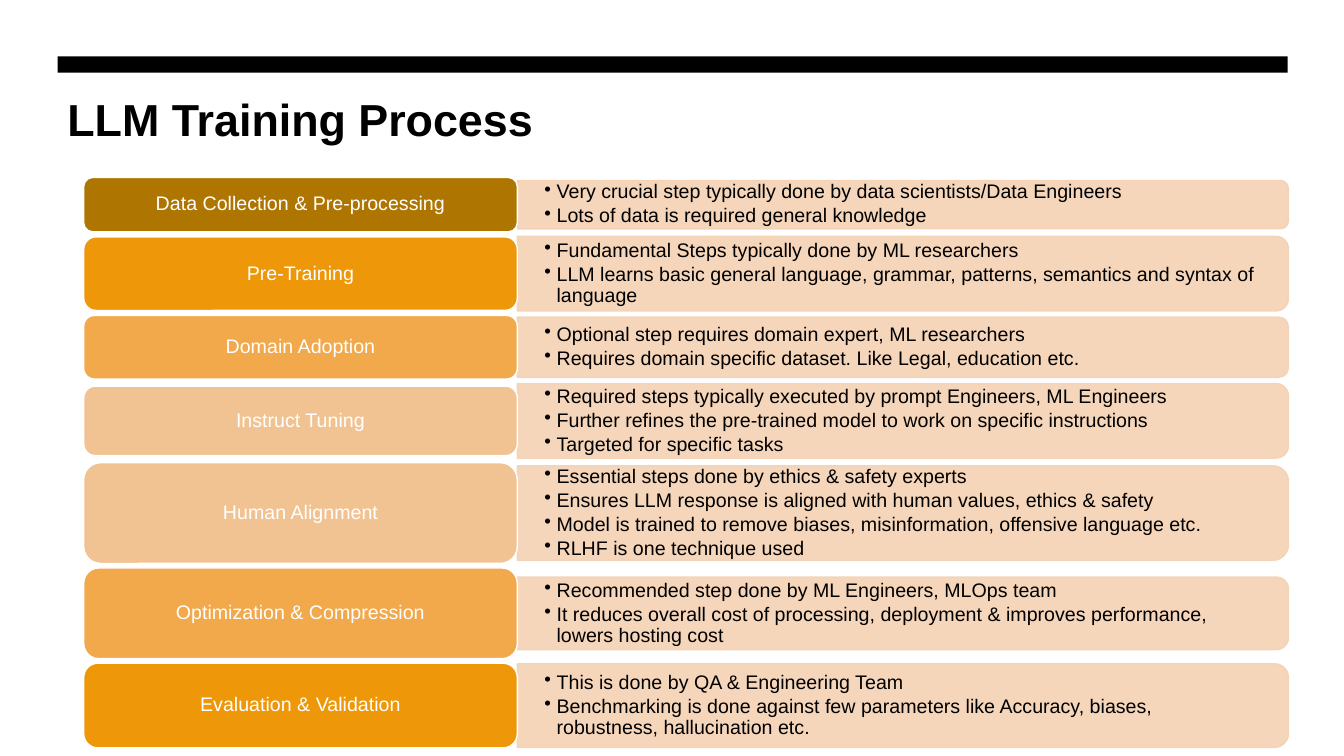
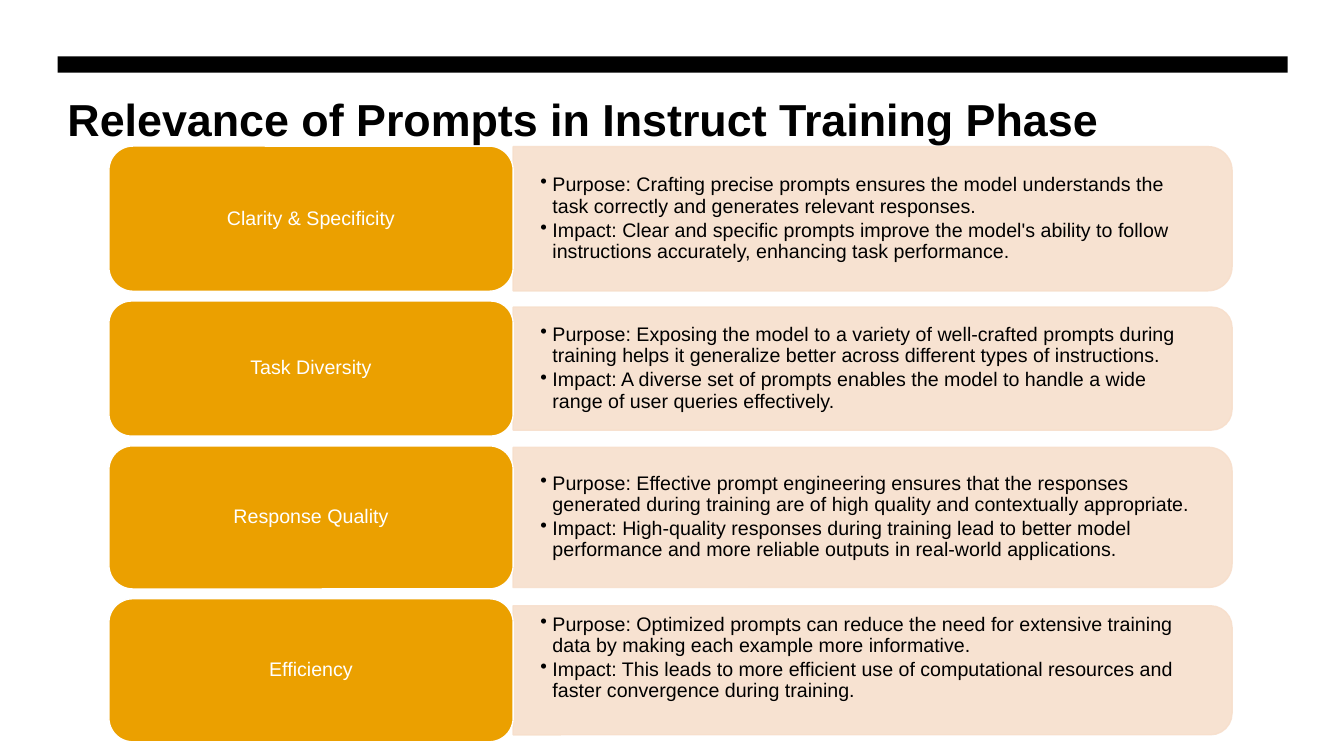
from lxml.etree import SubElement
from pptx import Presentation
from pptx.dml.color import RGBColor
from pptx.enum.shapes import MSO_SHAPE as SHAPE
from pptx.enum.text import MSO_ANCHOR as ANCHOR, PP_ALIGN as ALIGN
from pptx.oxml.ns import qn
from pptx.util import Inches, Pt

BLACK = RGBColor(0x00, 0x00, 0x00)
WHITE = RGBColor(0xFF, 0xFF, 0xFF)
BROWN = RGBColor(0xAE, 0x76, 0x00)
ORANGE = RGBColor(0xED, 0x97, 0x09)
APRICOT = RGBColor(0xF1, 0xA9, 0x4C)
SAND = RGBColor(0xF2, 0xC3, 0x92)
AMBER = RGBColor(0xEB, 0xA0, 0x00)
PEACH = RGBColor(0xF4, 0xD2, 0xB4)
CREAM = RGBColor(0xF7, 0xDF, 0xCC)

prs = Presentation()
prs.slide_width, prs.slide_height = Inches(13.33), Inches(7.5)
COL, ROW = prs.slide_width / 100, prs.slide_height / 100

LABEL_FRAME = dict(
    word_wrap=True, vertical_anchor=ANCHOR.MIDDLE,
    margin_left=Inches(0.09), margin_right=Inches(0.09),
    margin_top=Inches(0.06), margin_bottom=Inches(0.06),
)
PANEL_FRAME = dict(
    word_wrap=True, vertical_anchor=ANCHOR.MIDDLE,
    margin_left=Inches(0.27), margin_right=Inches(0.27),
    margin_top=Inches(0.14), margin_bottom=Inches(0.14),
)
LABEL_PARA = dict(alignment=ALIGN.CENTER, line_spacing=0.9, space_after=Pt(5))
BULLET_PARA = dict(alignment=ALIGN.LEFT, line_spacing=0.9, space_after=Pt(2))

slides = [
    dict(
        title="LLM Training Process",
        left=6.23, split=38.49, right=95.87, top=23.47, bottom=98.93, panel=PEACH,
        rows=[
            ("Data Collection & Pre-processing", BROWN, 7.2, 6.4, 0, [
                "Very crucial step typically done by data scientists/Data Engineers",
                "Lots of data is required general knowledge"]),
            ("Pre-Training", ORANGE, 9.73, 9.87, 0, [
                "Fundamental Steps typically done by ML researchers",
                "LLM learns basic general language, grammar, patterns, semantics and syntax of language"]),
            ("Domain Adoption", APRICOT, 8.4, 8, 0, [
                "Optional step requires domain expert, ML researchers",
                "Requires domain specific dataset. Like Legal, education etc."]),
            ("Instruct Tuning", SAND, 9.2, 9.87, 0, [
                "Required steps typically executed by prompt Engineers, ML Engineers",
                "Further refines the pre-trained model to work on specific instructions",
                "Targeted for specific tasks"]),
            ("Human Alignment", SAND, 13.33, 12.53, 0, [
                "Essential steps done by ethics & safety experts",
                "Ensures LLM response is aligned with human values, ethics & safety",
                "Model is trained to remove biases, misinformation, offensive language etc.",
                "RLHF is one technique used"]),
            ("Optimization & Compression", APRICOT, 12, 9.6, 0, [
                "Recommended step done by ML Engineers, MLOps team",
                "It reduces overall cost of processing, deployment & improves performance, lowers hosting cost"]),
            ("Evaluation & Validation", ORANGE, 11.2, 11.07, 0, [
                "This is done by QA & Engineering Team",
                "Benchmarking is done against few parameters like Accuracy, biases, robustness, hallucination etc."]),
        ],
    ),
    dict(
        title="Relevance of Prompts in Instruct Training Phase",
        left=8.1, split=38.18, right=91.67, top=19.33, bottom=98.13, panel=CREAM,
        rows=[
            ("Clarity & Specificity", AMBER, 19.2, 19.07, 0, [
                "Purpose: Crafting precise prompts ensures the model understands the task correctly and generates relevant responses.",
                "Impact: Clear and specific prompts improve the model's ability to follow instructions accurately, enhancing task performance."]),
            ("Task Diversity", AMBER, 17.87, 16.27, 0, [
                "Purpose: Exposing the model to a variety of well-crafted prompts during training helps it generalize better across different types of instructions.",
                "Impact: A diverse set of prompts enables the model to handle a wide range of user queries effectively."]),
            ("Response Quality", AMBER, 18.93, 18.53, 0, [
                "Purpose: Effective prompt engineering ensures that the responses generated during training are of high quality and contextually appropriate.",
                "Impact: High-quality responses during training lead to better model performance and more reliable outputs in real-world applications."]),
            ("Efficiency", AMBER, 18.93, 17.07, 3.2, [
                "Purpose: Optimized prompts can reduce the need for extensive training data by making each example more informative.",
                "Impact: This leads to more efficient use of computational resources and faster convergence during training."]),
        ],
    ),
]


def add_box(s, kind, x, y, w, h, fill, line):
    sp = s.shapes.add_shape(kind, int(x), int(y), int(w), int(h))
    sp.shadow.inherit = False
    sp.fill.solid()
    sp.fill.fore_color.rgb = fill
    sp.line.color.rgb = line
    sp.line.width = Pt(1)
    return sp


def write(tf, lines, frame, para, size, color, bold=False):
    for name, value in frame.items():
        setattr(tf, name, value)
    for i, text in enumerate(lines):
        p = tf.add_paragraph() if i else tf.paragraphs[0]
        for name, value in para.items():
            setattr(p, name, value)
        r = p.add_run()
        r.text = text
        for name, value in dict(name="Arial", size=Pt(size), bold=bold).items():
            setattr(r.font, name, value)
        r.font.color.rgb = color


for d in slides:
    s = prs.slides.add_slide(prs.slide_layouts[6])
    bar = add_box(s, SHAPE.RECTANGLE, 4.28 * COL, 7.47 * ROW, 91.52 * COL, 2.13 * ROW, BLACK, BLACK)
    bar.line.fill.background()
    title = s.shapes.add_textbox(int(4.28 * COL), int(11.47 * ROW), int(91.6 * COL), int(15.6 * ROW))
    write(title.text_frame, [d["title"]], dict(word_wrap=True), {}, 32, BLACK, True)

    left, split, right = (d[k] * COL for k in ("left", "split", "right"))
    heights = [max(row[2], row[3]) for row in d["rows"]]
    gap = (d["bottom"] - d["top"] - sum(heights)) / (len(heights) - 1)
    y = d["top"]
    for (label, color, label_h, panel_h, lift, bullets), height in zip(d["rows"], heights):
        mid = (y + height / 2) * ROW
        y += height + gap
        label_h, panel_h, w = label_h * ROW, panel_h * ROW, right - split

        panel = add_box(s, SHAPE.ROUND_2_SAME_RECTANGLE, split + (w - panel_h) / 2, mid - w / 2,
                        panel_h, w, d["panel"], d["panel"])
        panel.rotation = 90
        for clr in panel._element.spPr.iter(qn("a:srgbClr")):
            SubElement(clr, qn("a:alpha"), val="90000")

        box = s.shapes.add_textbox(int(split), int(mid - panel_h / 2),
                                   int(w - Inches(0.04)), int(panel_h))
        frame = {**PANEL_FRAME, "margin_bottom": int(PANEL_FRAME["margin_bottom"] + lift * ROW)}
        write(box.text_frame, bullets, frame, BULLET_PARA, 14, BLACK)
        for p in box.text_frame.paragraphs:
            pPr = p._p.get_or_add_pPr()
            pPr.set("marL", str(Inches(0.12)))
            pPr.set("indent", str(-Inches(0.12)))
            SubElement(pPr, qn("a:buChar"), char="•")

        tag = add_box(s, SHAPE.ROUNDED_RECTANGLE, left, mid - label_h / 2,
                      split - left, label_h, color, WHITE)
        write(tag.text_frame, [label], LABEL_FRAME, LABEL_PARA, 14, WHITE)

prs.save("out.pptx")
